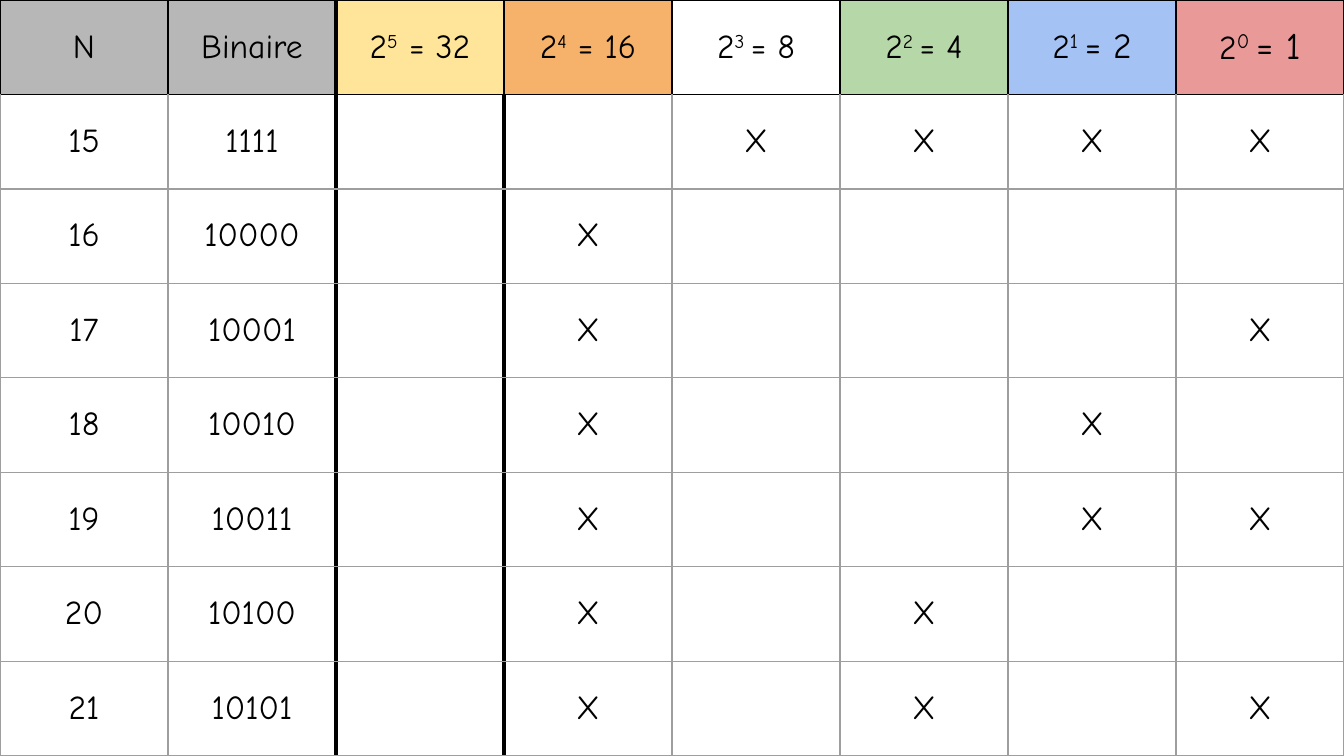
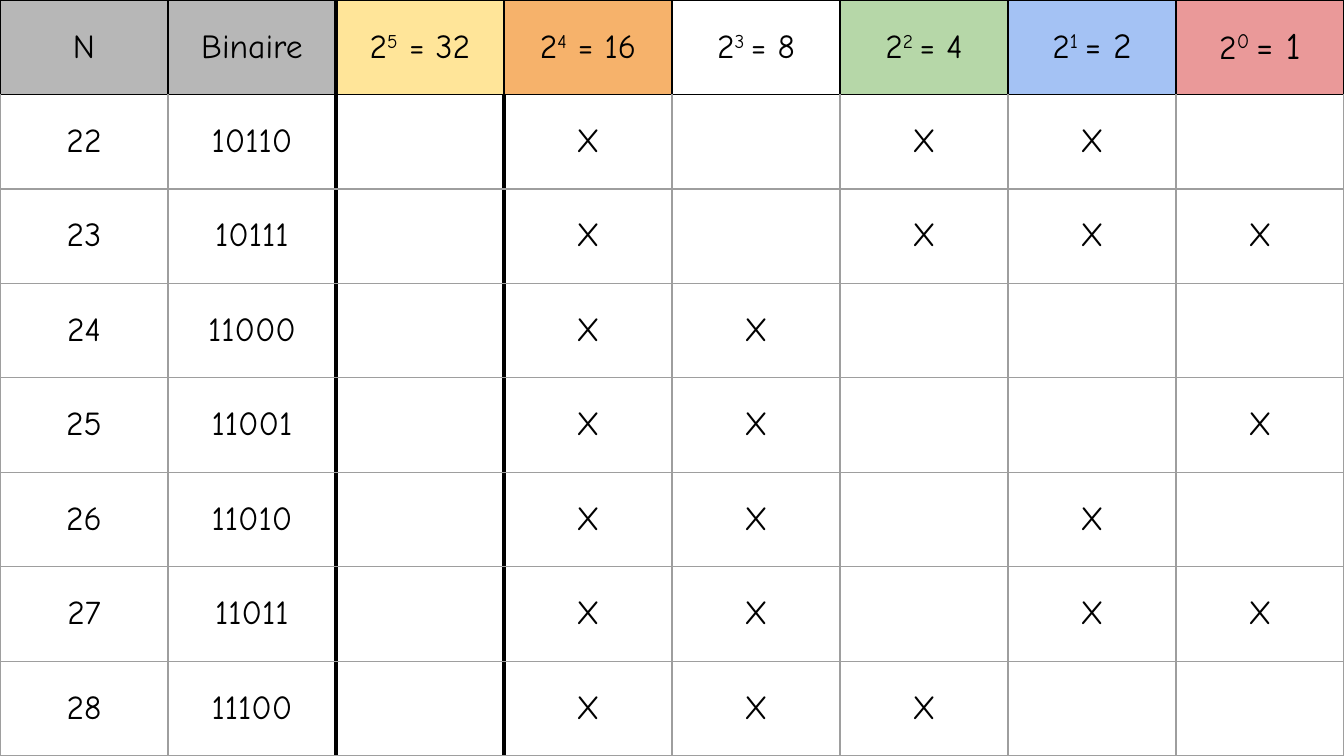
"""Build two slides of a table that breaks numbers down into powers of two."""
from dataclasses import dataclass

from lxml import etree
from pptx import Presentation
from pptx import util as u
from pptx.dml.color import RGBColor
from pptx.enum import text
from pptx.oxml.ns import qn

LABELS = [("N", "B7B7B7"), ("Binaire", "B7B7B7")]
POWERS = [
    {"exp": "5", "value": " = 32", "fill": "FFE599", "sizes": (18, 18, 18)},
    {"exp": "4", "value": " = 16", "fill": "F6B26B", "sizes": (18, 18, 18)},
    {"exp": "3 ", "value": "= 8", "fill": "FFFFFF", "sizes": (18, 18, 18)},
    {"exp": "2 ", "value": "= 4", "fill": "B6D7A8", "sizes": (18, 18, 18)},
    {"exp": "1 ", "value": "= 2", "fill": "A4C2F4", "sizes": (18, 19, 19)},
    {"exp": "0 ", "value": "= 1", "fill": "EA9999", "sizes": (18, 19, 20)},
]
SLIDES = [range(15, 22), range(22, 29)]
MARK = "X"

WIDTH, HEIGHT, INSET = 1344, 756, 13
PX = 914400 / 134.4
BINARY_COL, FIRST_POWER_COL = 1, 2


@dataclass(frozen=True)
class Theme:
    """Colours, font, type size and line widths."""
    font: str = "Comic Neue"
    size: int = 18
    ink: str = "000000"
    grid: str = "9E9E9E"
    thin: float = 0.75
    thick: float = 3


THEME = Theme()


def px(n):
    """Turn pixels into EMU."""
    return u.Emu(round(n * PX))


def add_run(p, content, size=THEME.size, raised=False):
    """Add one run in the theme font."""
    r = p.add_run()
    r.text = content
    r.font.name = THEME.font
    r.font.size = u.Pt(size)
    r.font.color.rgb = RGBColor.from_string(THEME.ink)
    if raised:
        r.font._element.set("baseline", "30000")


def set_borders(cell, sides):
    """Draw the four borders of a cell from (colour, width) pairs."""
    tc_pr = cell._tc.get_or_add_tcPr()
    for side in "LRTB":
        color, width = sides[side]
        ln = etree.SubElement(tc_pr, qn("a:ln" + side), w=str(u.Pt(width)))
        fill = etree.SubElement(ln, qn("a:solidFill"))
        etree.SubElement(fill, qn("a:srgbClr"), val=color)


def border_sides(row, col):
    """Choose the borders of the cell at a row and column."""
    thin, thick = (THEME.ink, THEME.thin), (THEME.ink, THEME.thick)
    sides = dict.fromkeys("LRTB", (THEME.grid, THEME.thin) if row else thin)
    if row == 1:
        sides["T"] = thin
    if col == BINARY_COL or (row and col == FIRST_POWER_COL):
        sides["R"] = thick
    if col == FIRST_POWER_COL:
        sides["L"] = thick
    return sides


def style_cell(cell, row, col, fill=None):
    """Set borders, fill and alignment, and return the paragraph."""
    set_borders(cell, border_sides(row, col))
    if fill:
        cell.fill.solid()
        cell.fill.fore_color.rgb = RGBColor.from_string(fill)
    else:
        cell.fill.background()
    cell.margin_left = cell.margin_right = px(INSET)
    cell.margin_top = cell.margin_bottom = px(INSET)
    cell.vertical_anchor = text.MSO_ANCHOR.MIDDLE
    p = cell.text_frame.paragraphs[0]
    p.alignment = text.PP_ALIGN.CENTER
    return p


def fill_header(table):
    """Write the labels and the powers of two."""
    for col, (label, fill) in enumerate(LABELS):
        add_run(style_cell(table.cell(0, col), 0, col, fill), label)
    for col, power in enumerate(POWERS, FIRST_POWER_COL):
        p = style_cell(table.cell(0, col), 0, col, power["fill"])
        parts = ("2", power["exp"], power["value"])
        for i, (part, size) in enumerate(zip(parts, power["sizes"])):
            add_run(p, part, size, raised=i == 1)


def fill_number(table, row, number):
    """Write a number, its binary form and a mark for each power used."""
    bits = f"{number:0{len(POWERS)}b}"
    marks = [MARK if bit == "1" else "" for bit in bits]
    for col, content in enumerate([str(number), f"{number:b}", *marks]):
        p = style_cell(table.cell(row, col), row, col)
        if content:
            add_run(p, content)


def add_number_slide(prs, numbers):
    """Add a slide filled by one table of numbers."""
    s = prs.slides.add_slide(prs.slide_layouts[6])
    rows, cols = len(numbers) + 1, len(LABELS) + len(POWERS)
    table = s.shapes.add_table(rows, cols, 0, 0, px(WIDTH), px(HEIGHT)).table
    table.first_row = table.horz_banding = False
    for column in table.columns:
        column.width = px(WIDTH / cols)
    for row in table.rows:
        row.height = px(HEIGHT / rows)
    fill_header(table)
    for row, number in enumerate(numbers, 1):
        fill_number(table, row, number)


def main():
    """Build and save the presentation."""
    prs = Presentation()
    prs.slide_width, prs.slide_height = px(WIDTH), px(HEIGHT)
    for numbers in SLIDES:
        add_number_slide(prs, numbers)
    prs.save("out.pptx")


if __name__ == "__main__":
    main()
